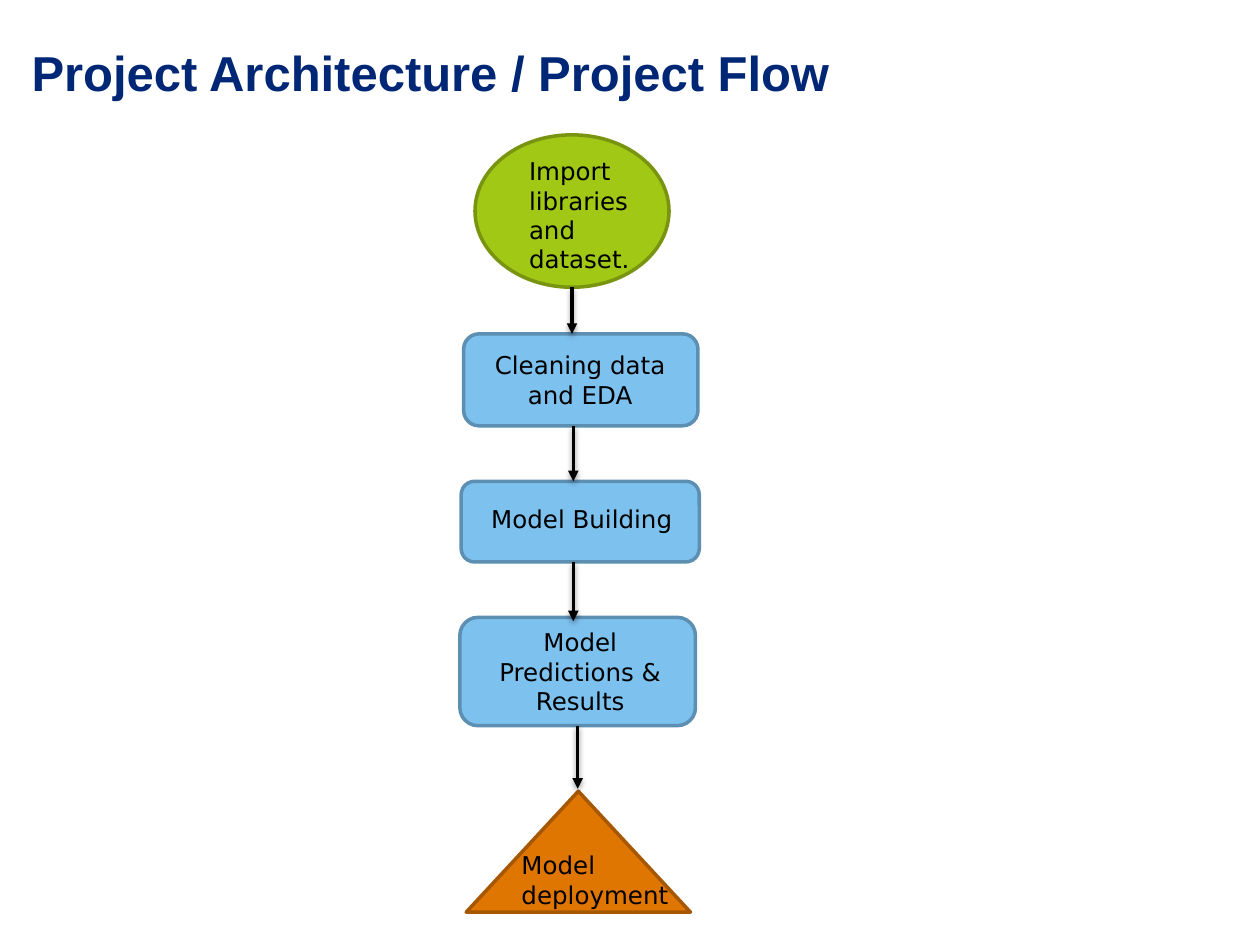
from lxml import etree
from pptx import Presentation
from pptx.dml.color import RGBColor
from pptx.enum.shapes import MSO_CONNECTOR, MSO_SHAPE
from pptx.enum.text import MSO_ANCHOR, PP_ALIGN
from pptx.oxml import parse_xml
from pptx.oxml.ns import qn
from pptx.util import Inches, Pt

OVAL = MSO_SHAPE.OVAL
ROUNDED = MSO_SHAPE.ROUNDED_RECTANGLE
TRIANGLE = MSO_SHAPE.ISOSCELES_TRIANGLE
STRAIGHT = MSO_CONNECTOR.STRAIGHT
TOP = MSO_ANCHOR.TOP
LEFT, CENTER = PP_ALIGN.LEFT, PP_ALIGN.CENTER
BOTTOM_SIDE = 2

NAVY = RGBColor(0x00, 0x27, 0x76)
BLACK = RGBColor(0x00, 0x00, 0x00)
GREEN = RGBColor(0xA2, 0xC8, 0x16)
DARK_GREEN = RGBColor(0x78, 0x94, 0x10)
BLUE = RGBColor(0x7D, 0xC1, 0xEF)
DARK_BLUE = RGBColor(0x5C, 0x8F, 0xB1)
ORANGE = RGBColor(0xE0, 0x76, 0x02)
DARK_ORANGE = RGBColor(0xA6, 0x57, 0x01)

ARROW_SHADOW = (
    '<a:effectLst xmlns:a="http://schemas.openxmlformats.org/drawingml/2006/main">'
    '<a:outerShdw blurRad="40000" dist="20000" dir="5400000" rotWithShape="0">'
    '<a:srgbClr val="000000"><a:alpha val="38000"/></a:srgbClr>'
    '</a:outerShdw></a:effectLst>'
)


class FlowSlide:
    title_font = "Arial"
    body_font = "DejaVu Sans"
    title_size = Pt(28)
    body_size = Pt(14)
    line_width = Pt(2)

    def __init__(self, presentation):
        self.slide = presentation.slides.add_slide(presentation.slide_layouts[5])

    def title(self, text, box):
        heading = self.slide.shapes.title
        heading.left, heading.top, heading.width, heading.height = map(Inches, box)
        frame = heading.text_frame
        frame.text = text
        frame.vertical_anchor = TOP
        frame.margin_top = Inches(0.1)
        paragraph = frame.paragraphs[0]
        paragraph.alignment = LEFT
        paragraph.font.name = self.title_font
        paragraph.font.size = self.title_size
        paragraph.font.bold = True
        paragraph.font.color.rgb = NAVY

    def step(self, kind, box, fill, outline):
        step = self.slide.shapes.add_shape(kind, *map(Inches, box))
        step.shadow.inherit = False
        step.fill.solid()
        step.fill.fore_color.rgb = fill
        step.line.color.rgb = outline
        step.line.width = self.line_width
        return step

    def label(self, text, box, alignment):
        frame = self.slide.shapes.add_textbox(*map(Inches, box)).text_frame
        frame.word_wrap = True
        frame.text = text
        paragraph = frame.paragraphs[0]
        paragraph.alignment = alignment
        paragraph.font.name = self.body_font
        paragraph.font.size = self.body_size
        paragraph.font.color.rgb = BLACK

    def arrow(self, x, top, bottom):
        arrow = self.slide.shapes.add_connector(
            STRAIGHT, Inches(x), Inches(top), Inches(x), Inches(bottom))
        arrow.line.color.rgb = BLACK
        arrow.line.width = self.line_width
        etree.SubElement(arrow.line._get_or_add_ln(), qn("a:tailEnd"), type="triangle")
        arrow._element.spPr.append(parse_xml(ARROW_SHADOW))
        return arrow


def main():
    presentation = Presentation()
    presentation.slide_width = Inches(10)
    presentation.slide_height = Inches(7.5)
    flow = FlowSlide(presentation)
    flow.title("Project Architecture / Project Flow", (0.15, 0.24, 9.75, 0.74))

    stages = [
        (OVAL, (3.77, 1.07, 1.54, 1.21), GREEN, DARK_GREEN,
         "Import libraries and dataset.", (4.1, 1.19, 1.08, 1.04), LEFT),
        (ROUNDED, (3.68, 2.65, 1.86, 0.73), BLUE, DARK_BLUE,
         "Cleaning data and EDA", (3.77, 2.73, 1.67, 0.57), CENTER),
        (ROUNDED, (3.66, 3.82, 1.89, 0.64), BLUE, DARK_BLUE,
         "Model Building", (3.8, 3.95, 1.64, 0.34), LEFT),
        (ROUNDED, (3.65, 4.9, 1.87, 0.86), BLUE, DARK_BLUE,
         "Model Predictions & Results", (3.77, 4.93, 1.67, 0.81), CENTER),
        (TRIANGLE, (3.7, 6.28, 1.78, 0.96), ORANGE, DARK_ORANGE,
         "Model deployment", (4.04, 6.7, 1.59, 0.57), LEFT),
    ]
    steps = []
    for kind, box, fill, outline, text, text_box, alignment in stages:
        steps.append(flow.step(kind, box, fill, outline))
        flow.label(text, text_box, alignment)

    flow.arrow(4.54, 2.28, 2.65)
    flow.arrow(4.55, 3.38, 3.82)
    flow.arrow(4.55, 4.46, 4.93)
    to_deployment = flow.arrow(4.58, 5.76, 6.26)
    predictions = steps[3]
    to_deployment.begin_connect(predictions, BOTTOM_SIDE)
    to_deployment.end_x = to_deployment.begin_x

    presentation.save("out.pptx")


if __name__ == "__main__":
    main()
